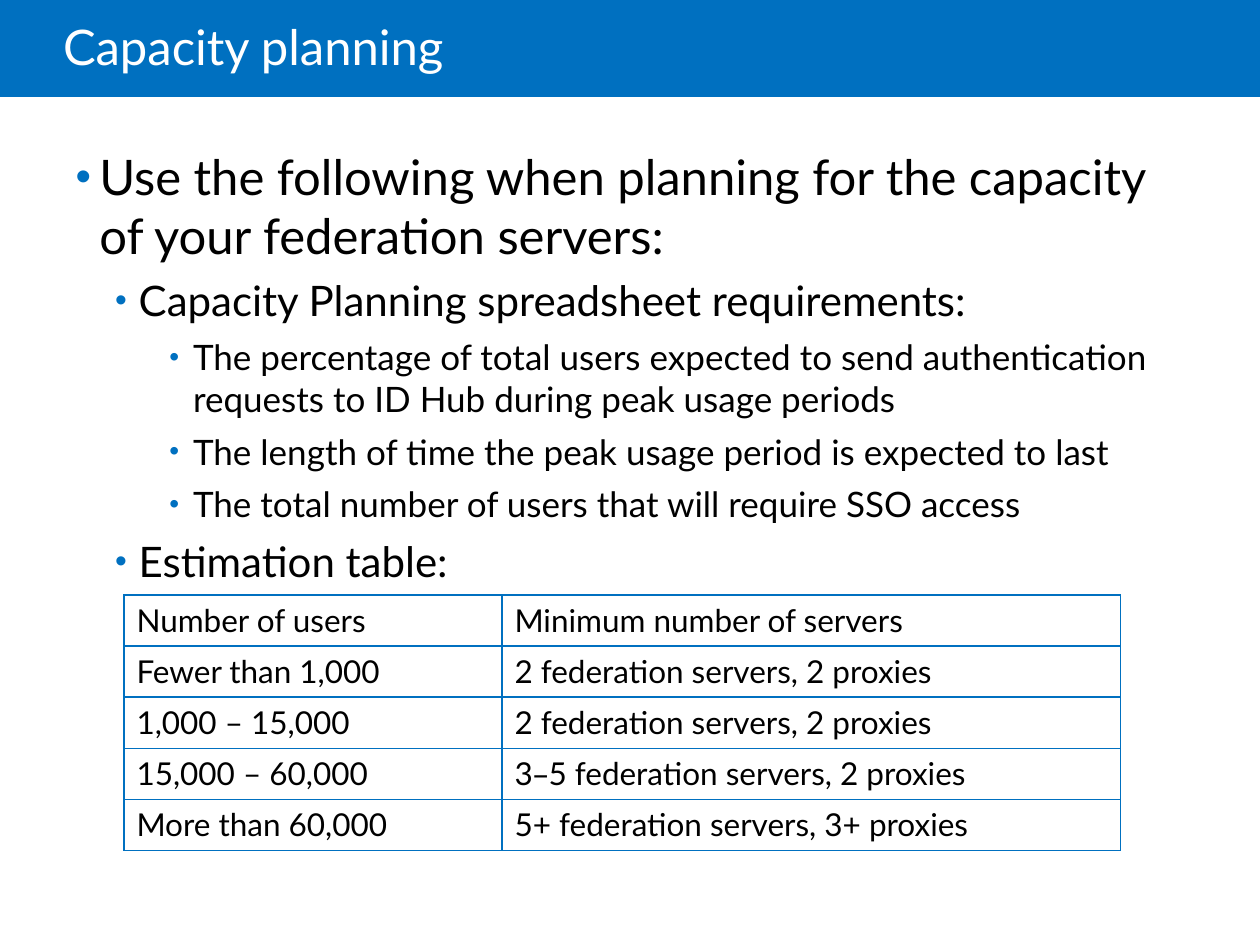
from lxml.etree import SubElement
from pptx import Presentation
from pptx.dml.color import RGBColor
from pptx.enum.shapes import MSO_SHAPE
from pptx.enum.text import MSO_ANCHOR, PP_ALIGN
from pptx.oxml.ns import qn
from pptx.util import Pt

hues = {"blue": "0070C0", "white": "FFFFFF", "black": "000000"}


def style(font, size, hue):
    font.name = "Lato"
    font.size = Pt(size)
    font.color.rgb = RGBColor.from_string(hues[hue])


def tint(parent, tag):
    node = SubElement(parent, qn(tag))
    SubElement(node, qn("a:srgbClr"), val=hues["blue"])


deck = Presentation()
deck.slide_width, deck.slide_height = Pt(720), Pt(540)
slide = deck.slides.add_slide(deck.slide_layouts[5])
shapes = slide.shapes

bar = shapes.add_shape(MSO_SHAPE.RECTANGLE, 0, 0, Pt(720), Pt(55.44))
bar.shadow.inherit = False
bar.fill.solid()
bar.fill.fore_color.rgb = RGBColor.from_string(hues["blue"])
bar.line.fill.background()
shapes._spTree.insert(2, bar._element)

title = shapes.title
title.left, title.top, title.width, title.height = Pt(36), 0, Pt(612), Pt(58.3)
frame = title.text_frame
frame.text = "Capacity planning"
frame.margin_left = 0
frame.vertical_anchor = MSO_ANCHOR.MIDDLE
line = frame.paragraphs[0]
line.alignment = PP_ALIGN.LEFT
line.line_spacing = 0.85
style(line.font, 28, "white")

levels = [(28, 13.7, 90), (24, 36.2, 80), (20, 67.2, 80)]
points = [
    (0, "Use the following when planning for the capacity of your federation servers:"),
    (1, "Capacity Planning spreadsheet requirements:"),
    (2, "The percentage of total users expected to send authentication requests to ID Hub during peak usage periods"),
    (2, "The length of time the peak usage period is expected to last"),
    (2, "The total number of users that will require SSO access"),
    (1, "Estimation table:"),
]
body = shapes.add_textbox(Pt(36), Pt(80.3), Pt(639.4), Pt(405.4)).text_frame
body.word_wrap = True
for i, (level, text) in enumerate(points):
    line = body.add_paragraph() if i else body.paragraphs[0]
    size, left, scale = levels[level]
    line.text = text
    line.level = level
    line.space_before = Pt(6)
    style(line.font, size, "black")
    props = line._p.get_or_add_pPr()
    props.set("marL", str(Pt(left)))
    props.set("indent", str(Pt(-13.5)))
    base = props.find(qn("a:defRPr"))
    tint(props, "a:buClr")
    SubElement(props, qn("a:buSzPct"), val=str(scale * 1000))
    SubElement(props, qn("a:buFont"), typeface="Arial")
    SubElement(props, qn("a:buChar"), char="•")
    props.append(base)

rows = [
    ("Number of users", "Minimum number of servers"),
    ("Fewer than 1,000", "2 federation servers, 2 proxies"),
    ("1,000 – 15,000", "2 federation servers, 2 proxies"),
    ("15,000 – 60,000", "3–5 federation servers, 2 proxies"),
    ("More than 60,000", "5+ federation servers, 3+ proxies"),
]
high = 29.2
grid = shapes.add_table(len(rows), 2, Pt(70.8), Pt(340), Pt(569.6), Pt(high * len(rows))).table
grid.first_row = grid.horz_banding = False
for col, wide in zip(grid.columns, (216, 353.6)):
    col.width = Pt(wide)
for r, row in enumerate(rows):
    grid.rows[r].height = Pt(high)
    for c, text in enumerate(row):
        cell = grid.cell(r, c)
        line = cell.text_frame.paragraphs[0]
        style(line.font, 18, "black")
        if text.startswith("3–"):
            for part in ("3", "–", text[2:]):
                run = line.add_run()
                run.text = part
                if part == "–":
                    run.font.name = "DejaVu Sans"
        else:
            line.text = text
        props = cell._tc.get_or_add_tcPr()
        for side in ("a:lnL", "a:lnR", "a:lnT", "a:lnB"):
            edge = SubElement(props, qn(side), w=str(Pt(1)))
            tint(edge, "a:solidFill")
        cell.fill.solid()
        cell.fill.fore_color.rgb = RGBColor.from_string(hues["white"])

deck.save("out.pptx")
